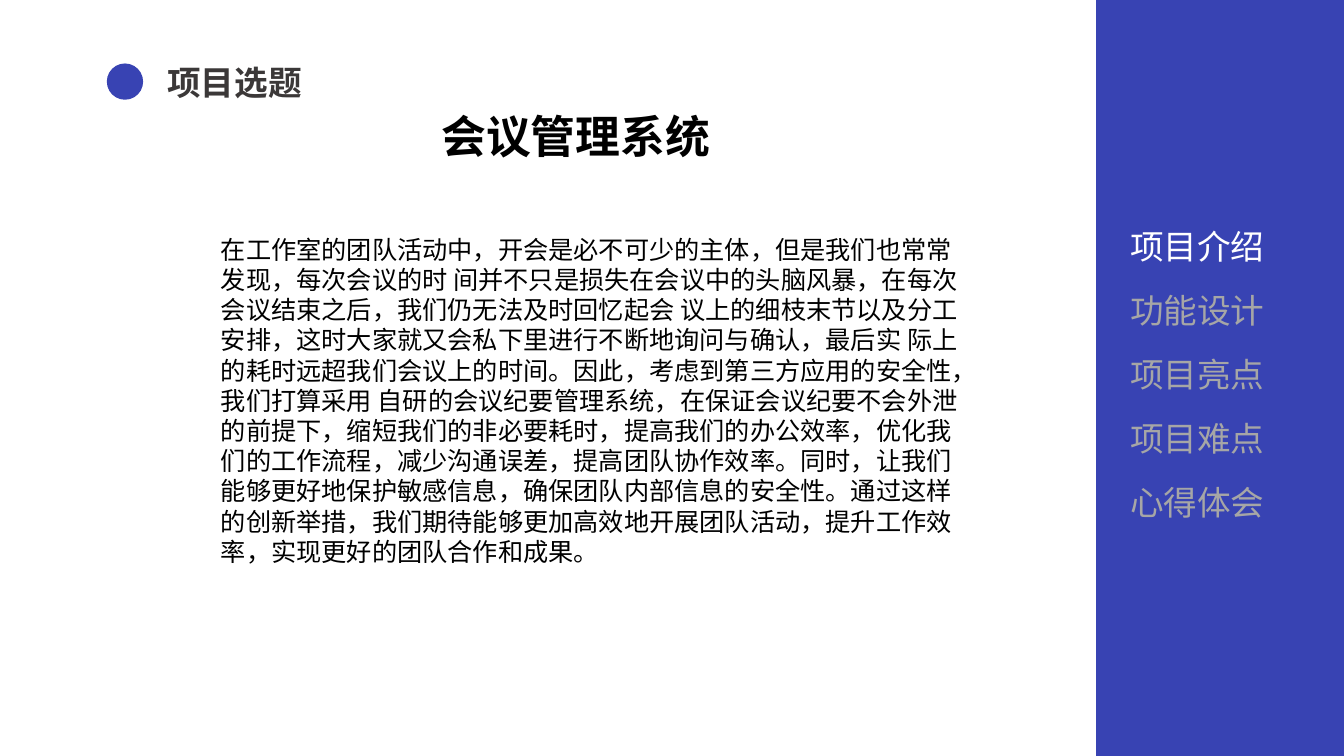
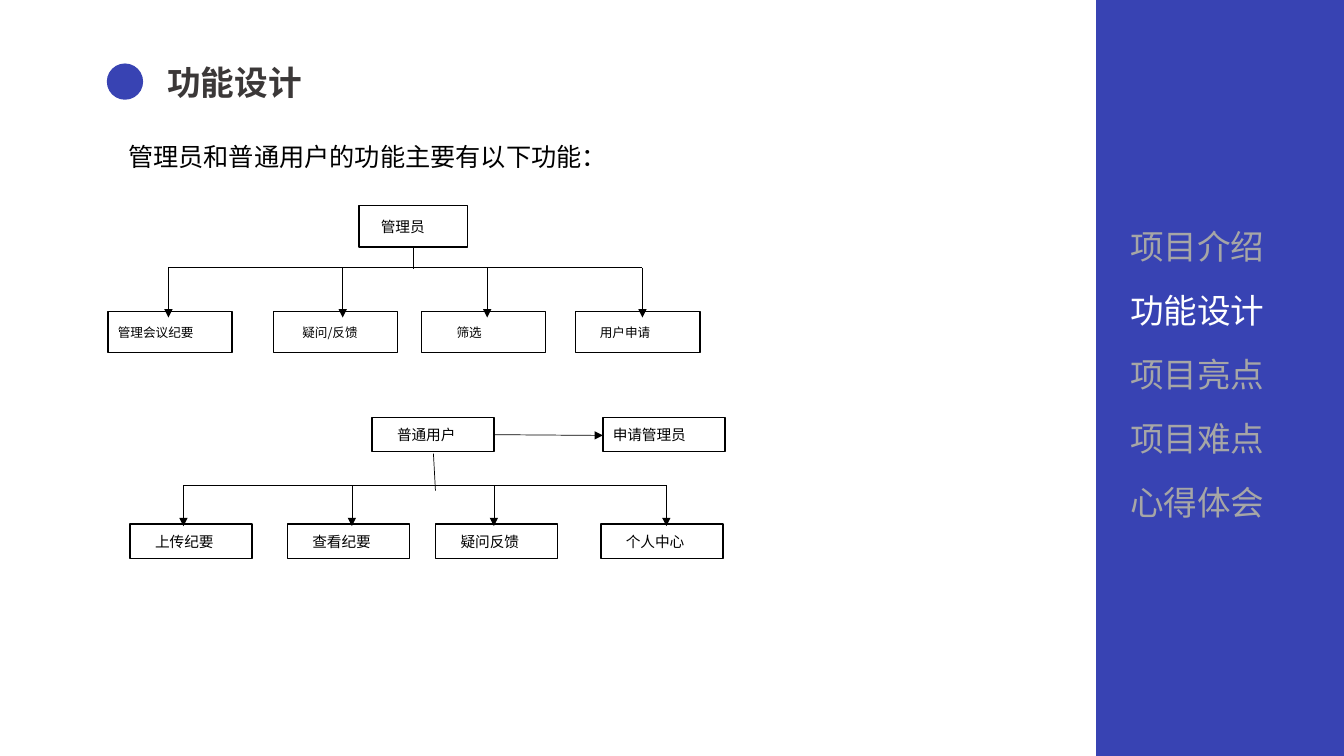
"""Two slides on a meeting management system: project topic and function design."""
from lxml.etree import SubElement
from pptx import Presentation
from pptx.dml.color import RGBColor
from pptx.enum.shapes import MSO_CONNECTOR, MSO_SHAPE as SHAPE
from pptx.enum.text import MSO_ANCHOR as ANCHOR, MSO_AUTO_SIZE, PP_ALIGN as ALIGN
from pptx.oxml.ns import qn
from pptx.util import Inches, Pt

BLUE = RGBColor(0x38, 0x43, 0xB3)
CHARCOAL = RGBColor(0x3B, 0x38, 0x38)
GREY = RGBColor(0xA6, 0xA6, 0xA6)
WHITE = RGBColor(0xFF, 0xFF, 0xFF)
BLACK = RGBColor(0x00, 0x00, 0x00)
FONT = "Noto Sans CJK SC"

deck = Presentation()
deck.slide_width, deck.slide_height = Inches(13.33), Inches(7.5)
COL, ROW = deck.slide_width / 100, deck.slide_height / 100


def place(left, top, width, height):
    """Turn grid columns and rows into a shape's position and size."""
    return int(left * COL), int(top * ROW), int(width * COL), int(height * ROW)


def write(frame, text, size, color, bold=False, indent=0, align=ALIGN.LEFT, anchor=ANCHOR.TOP):
    """Fill a text frame with one formatted run."""
    frame.word_wrap = True
    frame.auto_size = MSO_AUTO_SIZE.NONE
    frame.vertical_anchor = anchor
    paragraph = frame.paragraphs[0]
    paragraph.alignment = align
    paragraph.space_before = Pt(0)
    props = paragraph._p.get_or_add_pPr()
    props.set("marL", "0")
    props.set("indent", str(Inches(indent)))
    SubElement(props, qn("a:buNone"))
    run = paragraph.add_run()
    run.text = text
    run.font.name, run.font.size, run.font.bold = FONT, Pt(size), bold
    run.font.color.rgb = color
    SubElement(run._r.get_or_add_rPr(), qn("a:ea"), typeface=FONT)


TOPIC = (
    "在工作室的团队活动中，开会是必不可少的主体，但是我们也常常发现，每次会议的时 间并不只是损失在会议中的头脑风暴，"
    "在每次会议结束之后，我们仍无法及时回忆起会 议上的细枝末节以及分工安排，这时大家就又会私下里进行不断地询问与确认，"
    "最后实 际上的耗时远超我们会议上的时间。因此，考虑到第三方应用的安全性，我们打算采用 自研的会议纪要管理系统，"
    "在保证会议纪要不会外泄的前提下，缩短我们的非必要耗时，提高我们的办公效率，优化我们的工作流程，减少沟通误差，"
    "提高团队协作效率。同时，让我们能够更好地保护敏感信息，确保团队内部信息的安全性。通过这样的创新举措，"
    "我们期待能够更加高效地开展团队活动，提升工作效率，实现更好的团队合作和成果。"
)
SECTIONS = ["项目介绍", "功能设计", "项目亮点", "项目难点", "心得体会"]
PAGES = [
    ("项目选题", TOPIC, (15.68, 30.27, 56.55, 45.07)),
    ("功能设计", "管理员和普通用户的功能主要有以下功能：", (8.78, 18, 41.78, 6.93)),
]

for current, (title, body, body_area) in enumerate(PAGES):
    slide = deck.slides.add_slide(deck.slide_layouts[1])
    heading, content = slide.placeholders
    heading.left, heading.top, heading.width, heading.height = place(11.7, 7.47, 21.83, 6.67)
    write(heading.text_frame, title, 24, CHARCOAL, bold=True)
    content.left, content.top, content.width, content.height = place(*body_area)
    write(content.text_frame, body, 18, BLACK)

    for preset, area in [(SHAPE.RECTANGLE, (81.55, 0, 18.45, 100)), (SHAPE.OVAL, (7.95, 8.4, 2.7, 4.8))]:
        accent = slide.shapes.add_shape(preset, *place(*area))
        accent.shadow.inherit = False
        accent.fill.solid()
        accent.fill.fore_color.rgb = BLUE
        accent.line.fill.background()

    for row, section in enumerate(SECTIONS):
        entry = slide.shapes.add_textbox(*place(83.35, 29.2 + 8.46 * row, 14.63, 6.67))
        write(entry.text_frame, section, 24, WHITE if row == current else GREY)

topic_slide, design_slide = deck.slides
system_name = topic_slide.shapes.add_textbox(*place(32.1, 13.73, 22.28, 8.53))
write(system_name.text_frame, "会议管理系统", 32, BLACK, bold=True)

ADMIN_TOP, ADMIN_ROW, ADMIN_SIZE = 27.2, 41.2, (9.23, 5.47)
USER_TOP, USER_ROW, USER_SIZE = 55.2, 69.33, (9.08, 4.53)
ROLES_AND_FUNCTIONS = [
    ("管理员", 26.7, ADMIN_TOP, (8.1, 5.47), 10.5, 0.12),
    ("管理会议纪要", 8.03, ADMIN_ROW, ADMIN_SIZE, 9, 0),
    ("疑问/反馈", 20.33, ADMIN_ROW, ADMIN_SIZE, 9, 0.19),
    ("筛选", 31.36, ADMIN_ROW, ADMIN_SIZE, 9, 0.25),
    ("用户申请", 42.84, ADMIN_ROW, ADMIN_SIZE, 9, 0.14),
    ("普通用户", 27.68, USER_TOP, USER_SIZE, 10.5, 0.15),
    ("申请管理员", 44.86, USER_TOP, USER_SIZE, 10.5, 0),
    ("上传纪要", 9.68, USER_ROW, USER_SIZE, 10.5, 0.15),
    ("查看纪要", 21.38, USER_ROW, USER_SIZE, 10.5, 0.15),
    ("疑问反馈", 32.41, USER_ROW, USER_SIZE, 10.5, 0.15),
    ("个人中心", 44.71, USER_ROW, USER_SIZE, 10.5, 0.15),
]
for label, left, top, size, points, indent in ROLES_AND_FUNCTIONS:
    node = design_slide.shapes.add_shape(SHAPE.FLOWCHART_PROCESS, *place(left, top, *size))
    node.shadow.inherit = False
    node.fill.background()
    node.line.color.rgb = BLACK
    node.line.width = Pt(1)
    write(node.text_frame, label, points, BLACK, indent=indent, align=ALIGN.JUSTIFY, anchor=ANCHOR.MIDDLE)

BRANCHES = [
    ((30.75, 32.8), (30.75, 35.6), 35.4, 42, [12.53, 25.5, 36.25, 47.8]),
    ((32.25, 60), (32.4, 64.9), 64.2, 69.6, [13.65, 26.18, 36.75, 49.58]),
]
links = [((36.76, 57.5), (44.86, 57.6), True)]
for stem_start, stem_end, rail, tip, stops in BRANCHES:
    links.append((stem_start, stem_end, False))
    links.append(((stops[0], rail), (stops[-1], rail), False))
    links += [((stop, rail), (stop, tip), True) for stop in stops]

for start, end, arrow in links:
    link = design_slide.shapes.add_connector(MSO_CONNECTOR.STRAIGHT, *place(*start, *end))
    link.line.color.rgb = BLACK
    link.line.width = Pt(0.5)
    if arrow:
        SubElement(link.line._get_or_add_ln(), qn("a:tailEnd"), type="triangle")
    SubElement(link._element.spPr, qn("a:effectLst"))

deck.save("out.pptx")
